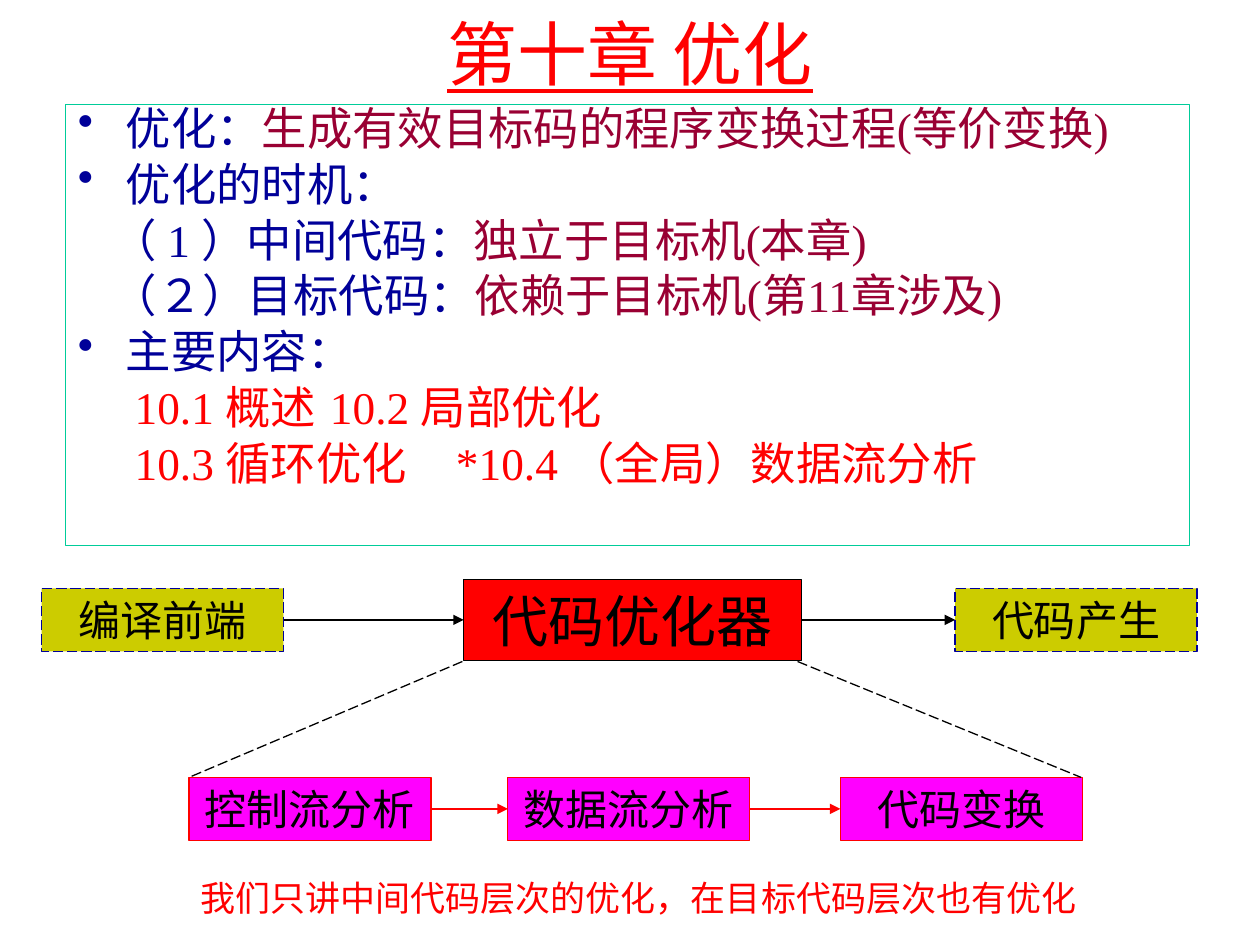
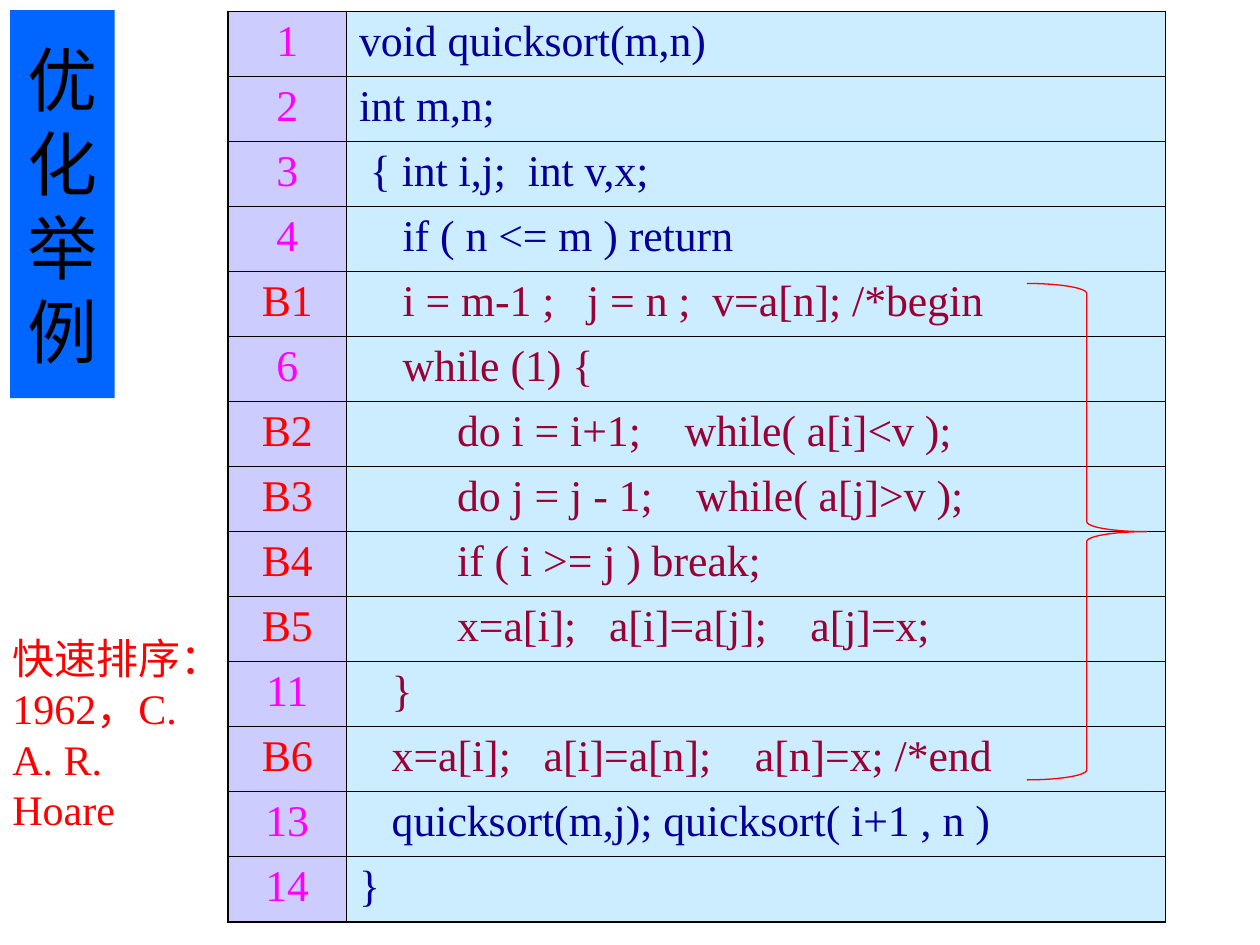
"""Build two slides on code optimisation: a chapter overview and a quicksort example."""
from dataclasses import dataclass
from typing import Optional

from lxml import etree
from pptx import Presentation
from pptx import util as u
from pptx.dml import color as dml
from pptx.enum import dml as dml_enum
from pptx.enum import shapes, text
from pptx.oxml import ns

FONT = "Times New Roman"
COLORS = {
    "red": "FF0000", "navy": "000099", "maroon": "990033", "black": "000000",
    "magenta": "FF00FF", "olive": "CCCC00", "green": "00CC99", "blue": "0066FF",
    "number_fill": "CCCCFF", "code_fill": "CCECFF",
}
STEP_WIDTH, STEP_HEIGHT = 1.92, 0.5
THIN, THICK = 0.45, 1.08


@dataclass(frozen=True)
class Box:
    """Place and look of a rectangle."""
    left: float
    top: float
    width: float
    height: float
    fill: Optional[str] = None
    line: Optional[str] = None
    dashed: bool = False


@dataclass(frozen=True)
class Step:
    """A labelled box of the flow diagram."""
    label: str
    box: Box
    size: float = 24


@dataclass(frozen=True)
class Line:
    """A line of the overview, as (text, colour) runs."""
    runs: tuple[tuple[str, str], ...]
    bullet: bool = False
    indent: float = 0
    tab: Optional[float] = None


@dataclass(frozen=True)
class CodeRow:
    """A numbered line of code."""
    number: str
    code: str
    color: str = "maroon"


OVERVIEW = (
    Line((("优化：", "navy"), ("生成有效目标码的程序变换过程(等价变换)", "maroon")), bullet=True),
    Line((("优化的时机：", "navy"),), bullet=True),
    Line((("（ 1 ）中间代码：", "navy"), ("独立于目标机(本章)", "maroon")), indent=0.27),
    Line((("（２）目标代码：", "navy"), ("依赖于目标机(第11章涉及)", "maroon")), indent=0.27),
    Line((("主要内容：", "navy"),), bullet=True),
    Line((("10.1 概述\t10.2 局部优化", "red"),), indent=0.45, tab=4),
    Line((("10.3 循环优化\t*10.4 （全局）数据流分析", "red"),), indent=0.45, tab=3.92),
)


def outer_step(label: str, left: float) -> Step:
    return Step(label, Box(left, 4.67, STEP_WIDTH, STEP_HEIGHT, "olive", "navy", True))


def inner_step(label: str, left: float) -> Step:
    return Step(label, Box(left, 6.17, STEP_WIDTH, STEP_HEIGHT, "magenta", "red"))


COMPILER_STEPS = (
    outer_step("编译前端", 0.33),
    Step("代码优化器", Box(3.68, 4.6, 2.68, 0.64, "red", "black"), 32),
    outer_step("代码产生", 7.58),
)
OPTIMIZER_STEPS = (
    inner_step("控制流分析", 1.5),
    inner_step("数据流分析", 4.03),
    inner_step("代码变换", 6.67),
)
QUICKSORT = (
    CodeRow("1", "void quicksort(m,n)", "navy"),
    CodeRow("2", "int m,n;", "navy"),
    CodeRow("3", " { int i,j;  int v,x;", "navy"),
    CodeRow("4", "    if ( n <= m ) return", "navy"),
    CodeRow("B1", "    i = m-1 ;   j = n ;  v=a[n]; /*begin"),
    CodeRow("6", "    while (1) {"),
    CodeRow("B2", "         do i = i+1;    while( a[i]<v );"),
    CodeRow("B3", "         do j = j - 1;    while( a[j]>v );"),
    CodeRow("B4", "         if ( i >= j ) break;"),
    CodeRow("B5", "         x=a[i];   a[i]=a[j];    a[j]=x;"),
    CodeRow("11", "   }"),
    CodeRow("B6", "   x=a[i];   a[i]=a[n];    a[n]=x; /*end"),
    CodeRow("13", "   quicksort(m,j); quicksort( i+1 , n )", "navy"),
    CodeRow("14", "}", "navy"),
)


def rgb(name: str) -> dml.RGBColor:
    return dml.RGBColor.from_string(COLORS[name])


def add_element(parent, tag: str, **attributes: str):
    return etree.SubElement(parent, ns.qn(tag), attributes)


def write(paragraph, content: str, *, size: float, color: str = "black",
          centered: bool = False, underline: bool = False) -> None:
    """Append a formatted run to a paragraph."""
    if centered:
        paragraph.alignment = text.PP_ALIGN.CENTER
    run = paragraph.add_run()
    run.text = content
    run.font.name = FONT
    run.font.size = u.Pt(size)
    run.font.color.rgb = rgb(color)
    if underline:
        run.font.underline = True


def style_line(line, color: str, dashed: bool = False) -> None:
    line.color.rgb = rgb(color)
    line.width = u.Pt(0.75)
    if dashed:
        line.dash_style = dml_enum.MSO_LINE.LONG_DASH


def add_box(slide, box: Box, *, preset=shapes.MSO_SHAPE.RECTANGLE,
            anchor=text.MSO_ANCHOR.MIDDLE):
    """Add a preset shape, plain unless a fill or line is named."""
    shape = slide.shapes.add_shape(
        preset, *map(u.Inches, (box.left, box.top, box.width, box.height)))
    shape.shadow.inherit = False
    if box.fill:
        shape.fill.solid()
        shape.fill.fore_color.rgb = rgb(box.fill)
    else:
        shape.fill.background()
    if box.line:
        style_line(shape.line, box.line, box.dashed)
    else:
        shape.line.fill.background()
    shape.text_frame.word_wrap = True
    shape.text_frame.vertical_anchor = anchor
    shape.text_frame.paragraphs[0].alignment = text.PP_ALIGN.LEFT
    return shape


def add_label(slide, box: Box, content: str, **text_format) -> None:
    """Add a text box with one paragraph."""
    label = slide.shapes.add_textbox(
        *map(u.Inches, (box.left, box.top, box.width, box.height)))
    label.text_frame.word_wrap = True
    label.text_frame.vertical_anchor = text.MSO_ANCHOR.MIDDLE
    write(label.text_frame.paragraphs[0], content, **text_format)


def add_overview(slide) -> None:
    shape = add_box(slide, Box(0.52, 0.83, 8.92, 3.5, line="green"),
                    anchor=text.MSO_ANCHOR.TOP)
    frame = shape.text_frame
    for index, line in enumerate(OVERVIEW):
        paragraph = frame.add_paragraph() if index else frame.paragraphs[0]
        properties = paragraph._p.get_or_add_pPr()
        margin, indent = (0.38, -0.38) if line.bullet else (0, line.indent)
        properties.set("marL", str(u.Inches(margin)))
        properties.set("indent", str(u.Inches(indent)))
        if line.bullet:
            bullet_color = add_element(properties, "a:buClr")
            add_element(bullet_color, "a:srgbClr", val=COLORS["navy"])
            add_element(properties, "a:buChar", char="•")
        if line.tab:
            tabs = add_element(properties, "a:tabLst")
            add_element(tabs, "a:tab", pos=str(u.Inches(line.tab)), algn="l")
        paragraph.alignment = text.PP_ALIGN.LEFT
        paragraph.line_spacing = 0.8
        if index:
            paragraph.space_before = u.Pt(7)
        for content, color in line.runs:
            write(paragraph, content, size=25.9, color=color)


def add_line(slide, color: str, start=(0, 0), end=(0, 0), *, dashed: bool = False):
    points = map(u.Inches, (*start, *end))
    connector = slide.shapes.add_connector(shapes.MSO_CONNECTOR.STRAIGHT, *points)
    style_line(connector.line, color, dashed)
    add_element(connector._element.spPr, "a:effectLst")
    return connector


def add_flow(slide, steps: tuple[Step, ...], arrow_color: str) -> None:
    """Add a row of boxes joined from left to right by arrows."""
    boxes = []
    for step in steps:
        shape = add_box(slide, step.box)
        write(shape.text_frame.paragraphs[0], step.label, size=step.size, centered=True)
        boxes.append(shape)
    for source, target in zip(boxes, boxes[1:]):
        arrow = add_line(slide, arrow_color)
        arrow.begin_connect(source, 3)
        arrow.end_connect(target, 1)
        add_element(arrow.line._get_or_add_ln(), "a:tailEnd", type="triangle")


def style_cell(cell, fill: str, borders: dict[str, float]) -> None:
    properties = cell._tc.get_or_add_tcPr()
    for side, width in borders.items():
        line = add_element(properties, f"a:ln{side}", w=str(u.Pt(width)))
        solid = add_element(line, "a:solidFill")
        add_element(solid, "a:srgbClr", val=COLORS["black"])
    cell.fill.solid()
    cell.fill.fore_color.rgb = rgb(fill)


def add_code_table(slide) -> None:
    last = len(QUICKSORT) - 1
    table = slide.shapes.add_table(
        len(QUICKSORT), 2, *map(u.Inches, (1.81, 0.09, 7.44, 7.23))).table
    table.first_row = table.horz_banding = False
    for column, width in zip(table.columns, (0.94, 6.5)):
        column.width = u.Inches(width)
    for index, row in enumerate(QUICKSORT):
        number_color = "red" if row.number.startswith("B") else "magenta"
        cells = ((row.number, number_color, "number_fill"), (row.code, row.color, "code_fill"))
        for column, (content, color, fill) in enumerate(cells):
            cell = table.cell(index, column)
            style_cell(cell, fill, {
                "L": THIN if column else THICK,
                "R": THICK if column else THIN,
                "T": THIN if index else THICK,
                "B": THICK if index == last else THIN,
            })
            write(cell.text_frame.paragraphs[0], content, size=25, color=color,
                  centered=column == 0)


def build_overview_slide(slide) -> None:
    add_label(slide, Box(0.75, 0.25, 8.5, 0.33), "第十章 优化", size=40, color="red",
              centered=True, underline=True)
    add_overview(slide)
    add_flow(slide, COMPILER_STEPS, "black")
    add_flow(slide, OPTIMIZER_STEPS, "red")
    add_line(slide, "black", (3.67, 5.25), (1.5, 6.17), dashed=True)
    add_line(slide, "black", (6.33, 5.25), (8.58, 6.17), dashed=True)
    add_label(slide, Box(1.49, 6.9, 7.5, 0.44),
              "我们只讲中间代码层次的优化，在目标代码层次也有优化", size=20, color="red")


def build_quicksort_slide(slide) -> None:
    title = add_box(slide, Box(0.08, 0.08, 0.83, 3.08, fill="blue"))
    write(title.text_frame.paragraphs[0], "优化举例", size=40, centered=True)
    add_code_table(slide)
    add_label(slide, Box(0, 4.77, 1.53, 2.1), "快速排序：1962，C. A. R. Hoare",
              size=24, color="red")
    add_box(slide, Box(8.15, 2.25, 0.95, 3.94, line="red"),
            preset=shapes.MSO_SHAPE.RIGHT_BRACE)


def main() -> None:
    presentation = Presentation()
    presentation.slide_width, presentation.slide_height = u.Inches(10), u.Inches(7.5)
    for build in (build_overview_slide, build_quicksort_slide):
        build(presentation.slides.add_slide(presentation.slide_layouts[6]))
    presentation.save("out.pptx")


if __name__ == "__main__":
    main()
